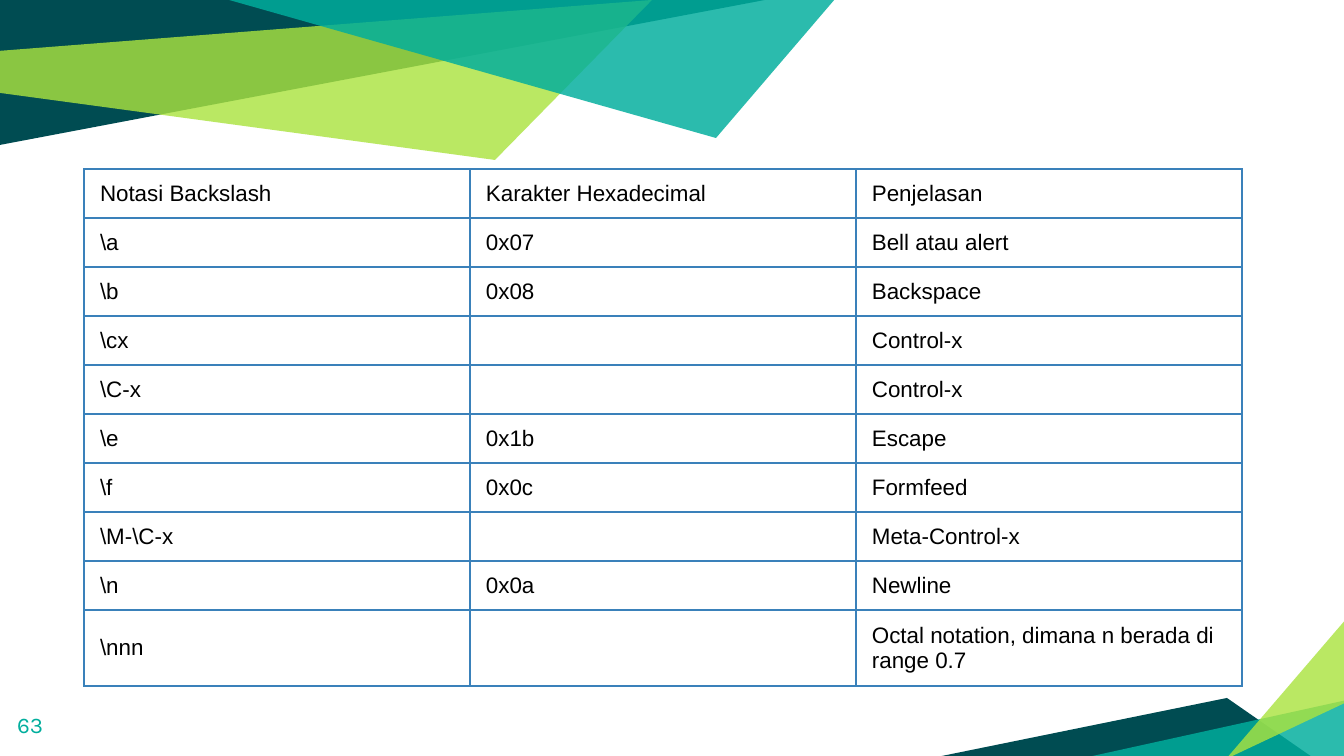
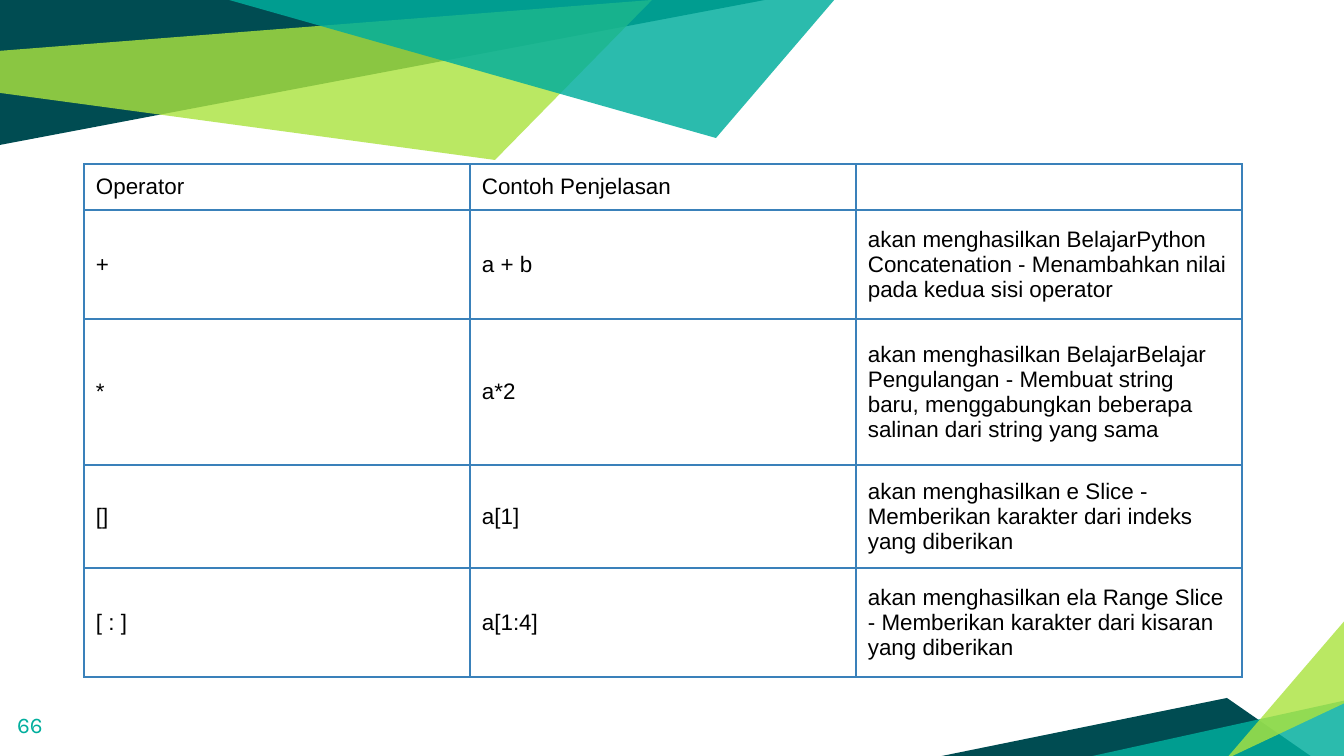
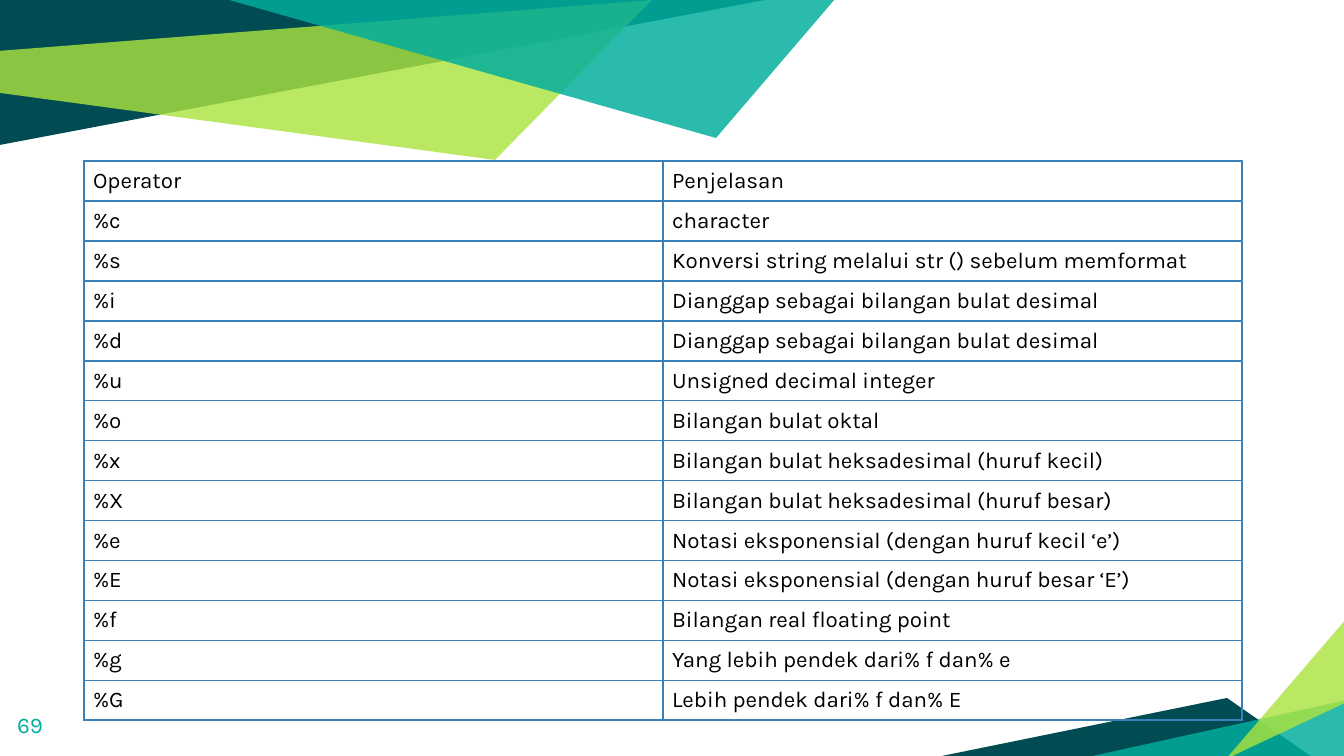
from lxml import etree
from pptx import Presentation
from pptx.dml.color import RGBColor
from pptx.enum.text import MSO_ANCHOR
from pptx.oxml.ns import qn
from pptx.util import Pt

EMU_PER_PX = 914400 / 134.4
PAGE_WIDTH, PAGE_HEIGHT = 1344, 756
BLANK_LAYOUT = 6
MIDDLE = MSO_ANCHOR.MIDDLE

DARK_TEAL = RGBColor(0x00, 0x4C, 0x52)
TEAL = RGBColor(0x00, 0xAE, 0x9D)
LIME = RGBColor(0xAB, 0xE3, 0x3F)
BORDER_BLUE = RGBColor(0x3A, 0x81, 0xBA)
BLACK = RGBColor(0x00, 0x00, 0x00)

SANS = "Arial"
KARLA = "Karla"
FONT_SIZE = Pt(12)
TABLE_LEFT, TABLE_WIDTH = 84, 1158

# Shards behind every page: colour, opacity in percent, corners
SHARDS = [
    (DARK_TEAL, 100, [(0, 0), (0, 145), (765, 0)]),
    (LIME, 81, [(-1, 51), (0, 93), (495, 160), (652, 0)]),
    (DARK_TEAL, 100, [(937, 757), (1312, 757), (1227, 698)]),
    (TEAL, 83, [(1347, 700), (1347, 759), (1079, 759)]),
    (LIME, 81, [(1347, 702), (1347, 618), (1226, 759)]),
    (TEAL, 83, [(229, 0), (716, 138), (835, -1), (818, 0)]),
]

BACKSLASH_ROWS = [
    ("Notasi Backslash", "Karakter Hexadecimal", "Penjelasan"),
    (r"\a", "0x07", "Bell atau alert"),
    (r"\b", "0x08", "Backspace"),
    (r"\cx", "", "Control-x"),
    (r"\C-x", "", "Control-x"),
    (r"\e", "0x1b", "Escape"),
    (r"\f", "0x0c", "Formfeed"),
    (r"\M-\C-x", "", "Meta-Control-x"),
    (r"\n", "0x0a", "Newline"),
    (r"\nnn", "", "Octal notation, dimana n berada di range 0.7"),
]

STRING_OPERATOR_ROWS = [
    ("Operator", "Contoh Penjelasan", ""),
    ("+", "a + b", "akan menghasilkan BelajarPython Concatenation - "
     "Menambahkan nilai pada kedua sisi operator"),
    ("*", "a*2", "akan menghasilkan BelajarBelajar Pengulangan - Membuat string "
     "baru, menggabungkan beberapa salinan dari string yang sama"),
    ("[]", "a[1]", "akan menghasilkan e Slice - Memberikan karakter dari indeks "
     "yang diberikan"),
    ("[ : ]", "a[1:4]", "akan menghasilkan ela Range Slice - Memberikan karakter "
     "dari kisaran yang diberikan"),
]

FORMAT_ROWS = [
    ("Operator", "Penjelasan"),
    ("%c", "character"),
    ("%s", "Konversi string melalui str () sebelum memformat"),
    ("%i", "Dianggap sebagai bilangan bulat desimal"),
    ("%d", "Dianggap sebagai bilangan bulat desimal"),
    ("%u", "Unsigned decimal integer"),
    ("%o", "Bilangan bulat oktal"),
    ("%x", "Bilangan bulat heksadesimal (huruf kecil)"),
    ("%X", "Bilangan bulat heksadesimal (huruf besar)"),
    ("%e", "Notasi eksponensial (dengan huruf kecil ‘e’)"),
    ("%E", "Notasi eksponensial (dengan huruf besar ‘E’)"),
    ("%f", "Bilangan real floating point"),
    ("%g", "Yang lebih pendek dari% f dan% e"),
    ("%G", "Lebih pendek dari% f dan% E"),
]


def px(length):
    return round(length * EMU_PER_PX)


def style_paragraph(para, font_name, color):
    para.font.name = font_name
    para.font.size = FONT_SIZE
    para.font.color.rgb = color


def add_shard(page, color, opacity, corners):
    builder = page.shapes.build_freeform(*corners[0], scale=EMU_PER_PX)
    builder.add_line_segments(corners[1:], close=True)
    shard = builder.convert_to_shape()
    shard.shadow.inherit = False
    shard.line.fill.background()
    shard.fill.solid()
    shard.fill.fore_color.rgb = color
    if opacity < 100:
        color_element = shard.element.spPr.find(qn("a:solidFill"))[0]
        etree.SubElement(color_element, qn("a:alpha"), val=str(opacity * 1000))
    return shard


def decorate_layout(layout, page):
    """Draw the shards on a page and move them to its layout."""
    for placeholder in list(layout.placeholders):
        layout.shapes.element.remove(placeholder.element)
    for color, opacity, corners in SHARDS:
        shard = add_shard(page, color, opacity, corners)
        layout.shapes.element.append(shard.element)


def add_page_number(page, number):
    box = page.shapes.add_textbox(px(4), px(698), px(81), px(58))
    frame = box.text_frame
    frame.word_wrap = True
    frame.margin_left = frame.margin_right = px(13)
    frame.margin_top = frame.margin_bottom = px(13)
    para = frame.paragraphs[0]
    para.text = str(number)
    style_paragraph(para, KARLA, TEAL)


def add_borders(cell):
    properties = cell._tc.get_or_add_tcPr()
    for side in ("lnL", "lnR", "lnT", "lnB"):
        line = etree.SubElement(properties, qn("a:" + side), w=str(Pt(1)))
        fill = etree.SubElement(line, qn("a:solidFill"))
        etree.SubElement(fill, qn("a:srgbClr"), val=str(BORDER_BLUE))


def fill_cell(cell, text, font_name, margins):
    side_margin, top_margin = margins
    cell.margin_left = cell.margin_right = px(side_margin)
    cell.margin_top = cell.margin_bottom = px(top_margin)
    cell.vertical_anchor = MIDDLE
    add_borders(cell)
    cell.fill.background()
    para = cell.text_frame.paragraphs[0]
    style_paragraph(para, font_name, BLACK)
    if text:
        para.add_run().text = text
    else:
        # Keeps an empty cell from stretching its row
        etree.SubElement(para._p, qn("a:endParaRPr"), sz=str(FONT_SIZE.centipoints))


def add_grid(page, rows, top, heights, font_name, margins):
    column_count = len(rows[0])
    frame = page.shapes.add_table(len(rows), column_count, px(TABLE_LEFT), px(top),
                                  px(TABLE_WIDTH), px(sum(heights)))
    table = frame.table
    table.first_row = table.horz_banding = False
    for column in table.columns:
        column.width = px(TABLE_WIDTH // column_count)
    for row, height, texts in zip(table.rows, heights, rows):
        row.height = px(height)
        for cell, text in zip(row.cells, texts):
            fill_cell(cell, text, font_name, margins)


def main():
    deck = Presentation()
    deck.slide_width, deck.slide_height = px(PAGE_WIDTH), px(PAGE_HEIGHT)
    layout = deck.slide_layouts[BLANK_LAYOUT]

    # Page number, rows, table top, row heights, font, side and top cell margins
    contents = [
        (63, BACKSLASH_ROWS, 169, [49] * 9 + [76], SANS, (16, 11)),
        (66, STRING_OPERATOR_ROWS, 164, [46, 109, 146, 103, 109], SANS, (12, 8)),
        (69, FORMAT_ROWS, 161, [40] * 14, KARLA, (9, 6)),
    ]
    pages = [deck.slides.add_slide(layout) for _ in contents]
    decorate_layout(layout, pages[0])
    for page, (number, *grid) in zip(pages, contents):
        add_page_number(page, number)
        add_grid(page, *grid)

    deck.save("out.pptx")


if __name__ == "__main__":
    main()
